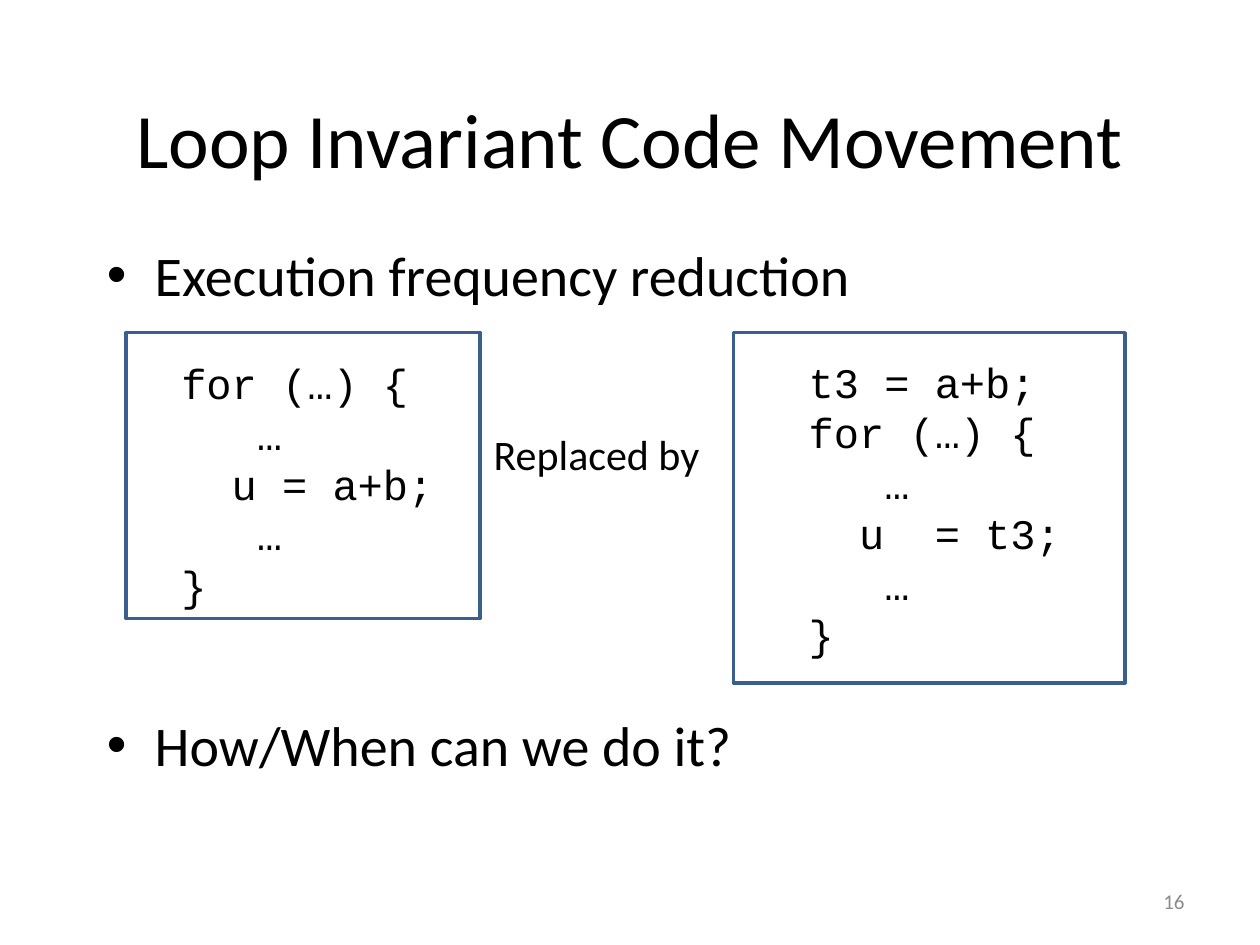
from pptx import Presentation
from pptx.dml.color import RGBColor
from pptx.enum import shapes, text
from pptx.util import Inches, Pt

BLACK = RGBColor(0x00, 0x00, 0x00)
GRAY = RGBColor(0x8C, 0x8C, 0x8C)
FRAME_BLUE = RGBColor(0x3A, 0x5F, 0x8C)
BODY_FONT, CODE_FONT = "Calibri", "Courier New"

TITLE = "Loop Invariant Code Movement"
BULLETS = ["Execution frequency reduction", "How/When can we do it?"]
BULLET_GAP = Pt(230)  # leaves room for the code panels
PAGE_NUMBER = "16"
ARROW_LABEL = "Replaced by"
# code lines, text position, frame position (left, top, width, height)
CODE_PANELS = [
    (["for (…) {", "   …", "  u = a+b;", "   …", "}"],
     (0.84, 2.79, 2.98, 2.12), (1, 2.64, 2.81, 2.27)),
    (["t3 = a+b;", "for (…) {", "   …", "  u  = t3;", "   …", "}"],
     (5.82, 2.78, 3.11, 2.52), (5.82, 2.64, 3.11, 2.78)),
]


def add_text(slide, position, lines, size, font=BODY_FONT, color=BLACK,
             align=text.PP_ALIGN.LEFT, anchor=text.MSO_ANCHOR.TOP, margin=0):
    """Add a wrapped text box, one paragraph a line, and return its paragraphs."""
    frame = slide.shapes.add_textbox(*map(Inches, position)).text_frame
    frame.word_wrap = True
    frame.vertical_anchor = anchor
    frame.text = "\n".join(lines)
    for paragraph in frame.paragraphs:
        paragraph.alignment = align
        paragraph.font.name = font
        paragraph.font.size = Pt(size)
        paragraph.font.color.rgb = color
        paragraph._p.get_or_add_pPr().set("marL", str(Inches(margin)))
    return frame.paragraphs


def add_bullet(paragraph, indent):
    properties = paragraph._p.get_or_add_pPr()
    properties.set("indent", str(-Inches(indent)))
    for tag, attribute, value in (("a:buFont", "typeface", "Arial"),
                                  ("a:buChar", "char", "•")):
        element = properties.makeelement(
            "{http://schemas.openxmlformats.org/drawingml/2006/main}" + tag[2:],
            {attribute: value})
        properties.insert_element_before(element, "a:tabLst", "a:defRPr", "a:extLst")


def add_frame(slide, position):
    shape = slide.shapes.add_shape(shapes.MSO_SHAPE.RECTANGLE, *map(Inches, position))
    shape.shadow.inherit = False
    shape.fill.background()
    shape.line.color.rgb = FRAME_BLUE
    shape.line.width = Pt(2)


def main():
    presentation = Presentation()
    presentation.slide_width, presentation.slide_height = Inches(10), Inches(7.5)
    slide = presentation.slides.add_slide(presentation.slide_layouts[6])

    add_text(slide, (0.75, 0.47, 8.5, 1.25), [TITLE], 44,
             align=text.PP_ALIGN.CENTER, anchor=text.MSO_ANCHOR.MIDDLE)

    bullets = add_text(slide, (0.75, 1.86, 8.5, 4.68), BULLETS, 32, margin=0.38)
    bullets[1].space_before = BULLET_GAP
    for paragraph in bullets:
        add_bullet(paragraph, 0.38)

    add_text(slide, (7.17, 6.95, 2.33, 0.4), [PAGE_NUMBER], 12, color=GRAY,
             align=text.PP_ALIGN.RIGHT, anchor=text.MSO_ANCHOR.MIDDLE)

    add_text(slide, (3.32, 3.35, 2.59, 0.5), [ARROW_LABEL], 24, margin=0.5)
    for lines, text_position, frame_position in CODE_PANELS:
        add_text(slide, text_position, lines, 24, font=CODE_FONT, margin=0.5)
        add_frame(slide, frame_position)

    presentation.save("out.pptx")


if __name__ == "__main__":
    main()
